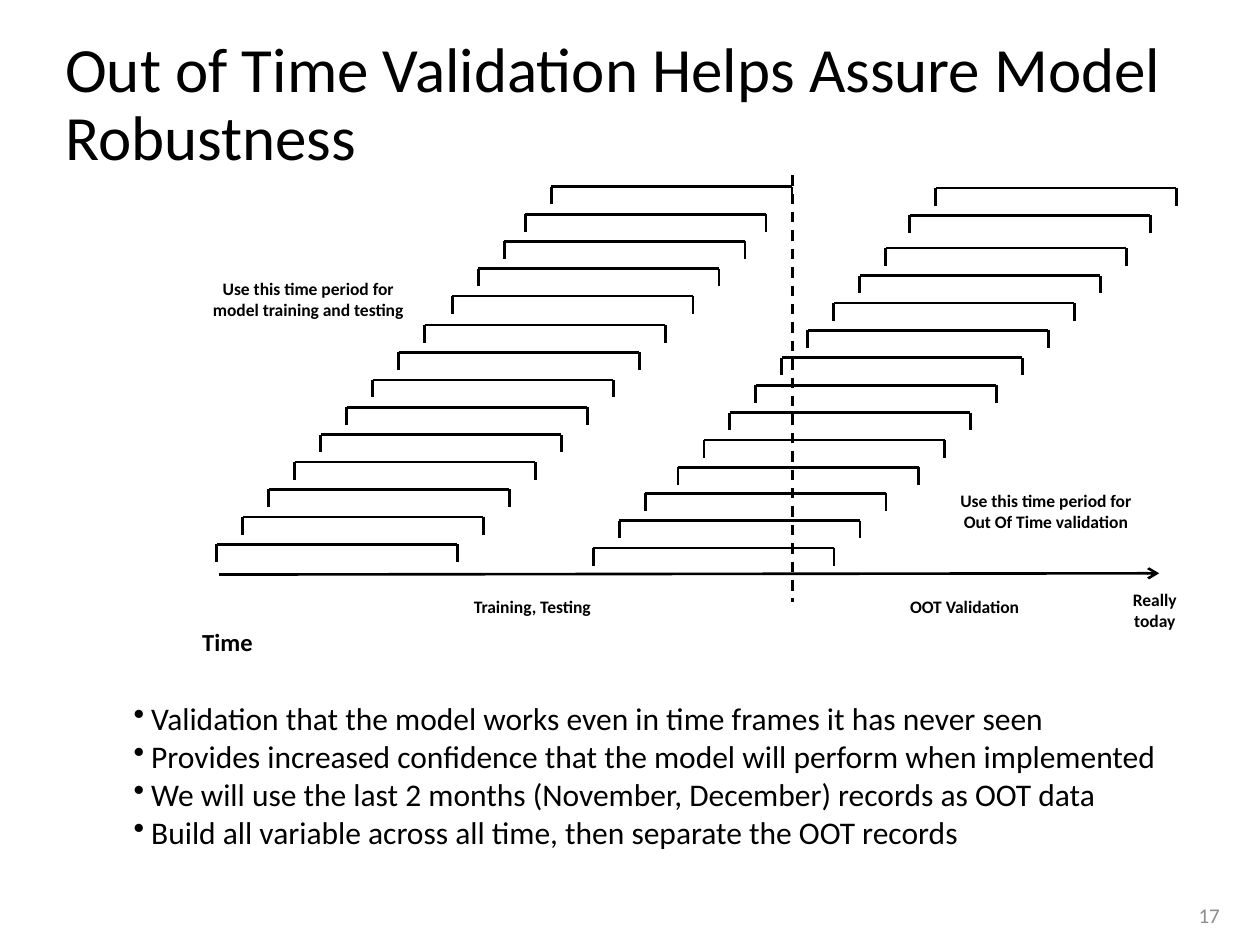
from lxml.etree import SubElement
from pptx import Presentation
from pptx.dml.color import RGBColor
from pptx.enum.dml import MSO_LINE
from pptx.enum.shapes import MSO_CONNECTOR
from pptx.enum.text import MSO_ANCHOR, PP_ALIGN
from pptx.oxml.ns import qn
from pptx.util import Inches, Pt

BLACK = "000000"
GRAY = "8C8C8C"
WINDOW_WIDTH = 1.91
TICK_HEIGHT = 0.14
STEP_RIGHT = 1.65 / 8
STEP_UP = 1.74 / 8

TRAINING_RUNS = [(1.72, 4.32, 9), (3.59, 2.35, 3), (4.17, 1.7, 2)]
VALIDATION_RUNS = [(4.71, 4.35, 3), (5.38, 3.71, 9), (7.22, 1.71, 2)]

LABELS = [
    (["Use this time period for", "model training and testing"], (1.57, 2.2, 1.75, 0.34), 10),
    (["Use this time period for", "Out Of Time validation"], (7.51, 3.88, 1.58, 0.34), 10),
    (["Training, Testing"], (3.66, 4.73, 1.13, 0.17), 10),
    (["OOT Validation"], (7.15, 4.73, 1.01, 0.17), 10),
    (["Really", "today"], (8.93, 4.67, 0.47, 0.34), 10),
    (["Time"], (1.58, 4.97, 0.45, 0.24), 14),
]

BENEFITS = [
    "Validation that the model works even in time frames it has never seen",
    "Provides increased confidence that the model will perform when implemented",
    "We will use the last 2 months (November, December) records as OOT data",
    "Build all variable across all time, then separate the OOT records",
]


def color(hex_string):
    return RGBColor.from_string(hex_string)


def add_bullet(paragraph):
    properties = paragraph._p.get_or_add_pPr()
    properties.set("marL", str(Inches(0.14)))
    properties.set("indent", str(-Inches(0.14)))
    SubElement(properties, qn("a:buChar")).set("char", "•")


def add_text(slide, lines, place, size, hex_string=BLACK, bold=False, align=PP_ALIGN.LEFT,
             anchor=MSO_ANCHOR.BOTTOM, inset=(0, 0), wrap=False, bullets=False, spacing=None):
    frame = slide.shapes.add_textbox(*map(Inches, place)).text_frame
    frame.word_wrap = wrap
    frame.vertical_anchor = anchor
    frame.margin_left = frame.margin_right = Inches(inset[0])
    frame.margin_top = frame.margin_bottom = Inches(inset[1])
    for index, line in enumerate(lines):
        paragraph = frame.add_paragraph() if index else frame.paragraphs[0]
        if bullets:
            add_bullet(paragraph)
        paragraph.alignment = align
        if spacing:
            paragraph.line_spacing = spacing
        run = paragraph.add_run()
        run.text = line
        run.font.name = "Calibri"
        run.font.size = Pt(size)
        run.font.bold = bold
        run.font.color.rgb = color(hex_string)


def add_line(shapes, start, end, dashed=False, arrow=False):
    line = shapes.add_connector(MSO_CONNECTOR.STRAIGHT, *map(Inches, (*start, *end)))
    line.line.color.rgb = color(BLACK)
    line.line.width = Pt(1.5)
    if dashed:
        line.line.dash_style = MSO_LINE.DASH
    if arrow:
        SubElement(line.line._get_or_add_ln(), qn("a:tailEnd")).set("type", "arrow")
    SubElement(line._element.spPr, qn("a:effectLst"))


def add_time_window(slide, left, top):
    window = slide.shapes.add_group_shape().shapes
    right = left + WINDOW_WIDTH
    add_line(window, (left, top), (right, top))
    for side in (left, right):
        add_line(window, (side, top), (side, top + TICK_HEIGHT))


def add_window_run(slide, left, top, count):
    for index in range(count):
        add_time_window(slide, left + index * STEP_RIGHT, top - index * STEP_UP)


def main():
    presentation = Presentation()
    presentation.slide_width = Inches(10)
    presentation.slide_height = Inches(7.5)
    slide = presentation.slides.add_slide(presentation.slide_layouts[6])

    add_text(slide, ["Out of Time Validation Helps Assure Model Robustness"],
             (0.42, 0.67, 9.19, 0.35), 36, anchor=MSO_ANCHOR.MIDDLE,
             inset=(0.1, 0.05), wrap=True, spacing=0.9)
    add_line(slide.shapes, (1.74, 4.56), (9.2, 4.55), arrow=True)
    for run in TRAINING_RUNS + VALIDATION_RUNS:
        add_window_run(slide, *run)
    add_line(slide.shapes, (6.29, 1.39), (6.29, 4.78), dashed=True)
    for lines, place, size in LABELS:
        add_text(slide, lines, place, size, bold=True, align=PP_ALIGN.CENTER)
    add_text(slide, BENEFITS, (1.06, 5.54, 8.22, 1.21), 18, wrap=True, bullets=True)
    add_text(slide, ["17"], (8.11, 7.13, 1.67, 0.26), 12, hex_string=GRAY,
             align=PP_ALIGN.RIGHT, anchor=MSO_ANCHOR.MIDDLE, inset=(0.1, 0.05), wrap=True)

    presentation.save("out.pptx")


if __name__ == "__main__":
    main()
